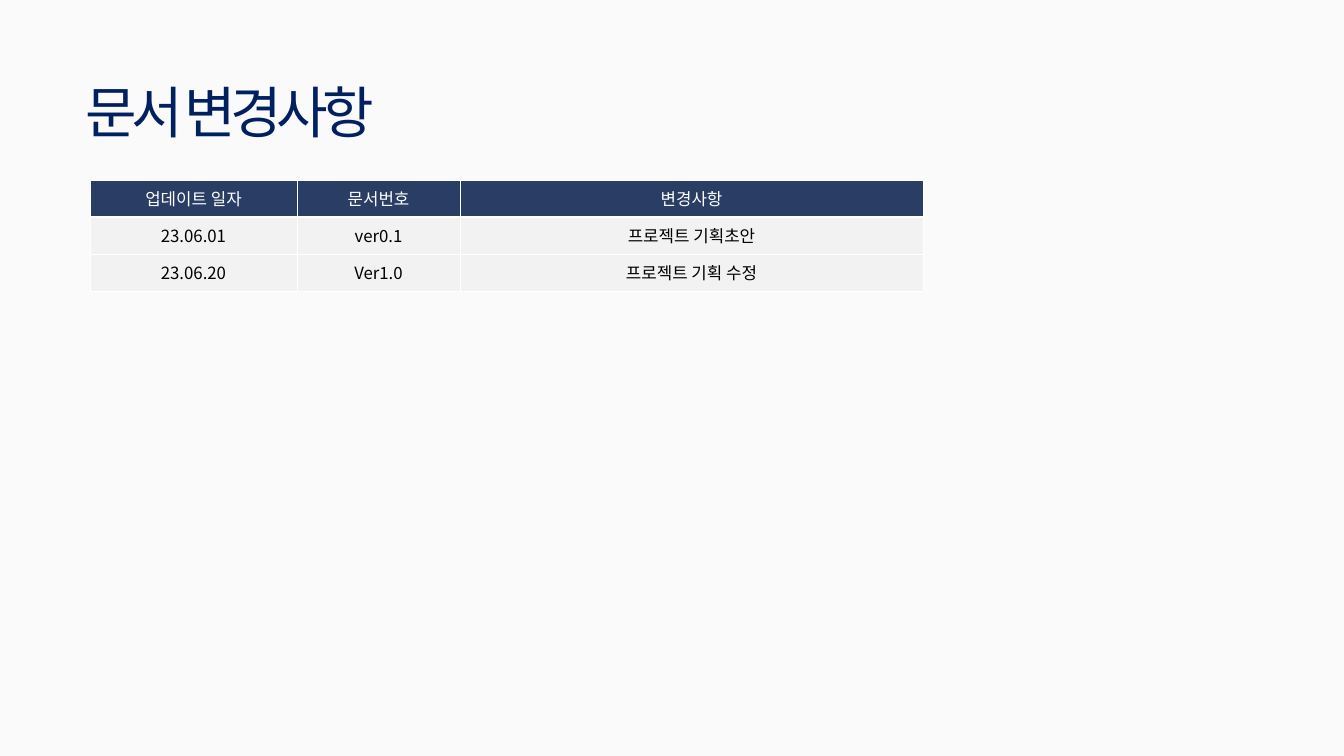
from lxml import etree
from pptx import Presentation
from pptx.dml.color import RGBColor
from pptx.enum.text import MSO_ANCHOR, MSO_AUTO_SIZE, PP_ALIGN
from pptx.oxml.ns import qn
from pptx.util import Pt

PX = 914400 / 67.2
MIDDLE = MSO_ANCHOR.MIDDLE
GROW = MSO_AUTO_SIZE.SHAPE_TO_FIT_TEXT
LEFT, CENTER = PP_ALIGN.LEFT, PP_ALIGN.CENTER
FONT = "Noto Sans CJK KR"
COLORS = {
    "back": "FAFAFA",
    "title": "002060",
    "head": "293D65",
    "body": "F2F2F2",
    "white": "FFFFFF",
    "black": "000000",
}
ROWS = [
    ["업데이트 일자", "문서번호", "변경사항"],
    ["23.06.01", "ver0.1", "프로젝트 기획초안"],
    ["23.06.20", "Ver1.0", "프로젝트 기획 수정"],
]


def px(n):
    return round(n * PX)


def color(name):
    return RGBColor.from_string(COLORS[name])


def write(frame, text, size=18, ink="black", align=LEFT, gap=0):
    """Put one formatted line in a frame; gap is letter spacing in points."""
    para = frame.paragraphs[0]
    para.alignment = align
    run = para.add_run()
    run.text = text
    run.font.size = Pt(size)
    run.font.name = FONT
    run.font.color.rgb = color(ink)
    props = run.font._element
    etree.SubElement(props, qn("a:ea"), typeface=FONT)
    if gap:
        props.set("spc", str(gap * 100))


def border(cell, widths):
    """Draw white lines on the left, right, top and bottom, in that order."""
    props = cell._tc.get_or_add_tcPr()
    for i, (side, width) in enumerate(zip("LRTB", widths)):
        line = etree.Element(qn(f"a:ln{side}"), w=str(Pt(width)))
        fill = etree.SubElement(line, qn("a:solidFill"))
        etree.SubElement(fill, qn("a:srgbClr"), val=COLORS["white"])
        props.insert(i, line)


class Deck:
    def __init__(self, width, height):
        self.prs = Presentation()
        self.prs.slide_width, self.prs.slide_height = px(width), px(height)
        self.slide = self.prs.slides.add_slide(self.prs.slide_layouts[6])
        fill = self.slide.background.fill
        fill.solid()
        fill.fore_color.rgb = color("back")

    def text(self, x, y, w, h, text, **style):
        box = self.slide.shapes.add_textbox(px(x), px(y), px(w), px(h))
        frame = box.text_frame
        frame.word_wrap = True
        frame.auto_size = GROW
        write(frame, text, **style)

    def table(self, x, y, cols, row, data):
        """Add a table whose first row is a header; row is the row height."""
        table = self.slide.shapes.add_table(
            len(data), len(cols), px(x), px(y),
            px(sum(cols)), px(row * len(data))).table
        for col, width in zip(table.columns, cols):
            col.width = px(width)
        for r, line in enumerate(data):
            head = r == 0
            for c, text in enumerate(line):
                cell = table.cell(r, c)
                cell.vertical_anchor = MIDDLE
                cell.fill.solid()
                cell.fill.fore_color.rgb = color("head" if head else "body")
                border(cell, (1, 1, 1, 3 if head else 1))
                write(cell.text_frame, text, align=CENTER,
                      ink="white" if head else "black")


def main():
    deck = Deck(1344, 756)
    deck.table(90, 180, [207, 163, 463], 37, ROWS)
    deck.text(79, 74, 1089, 75, "문서 변경사항", size=60, ink="title", gap=-6)
    deck.prs.save("out.pptx")


if __name__ == "__main__":
    main()
